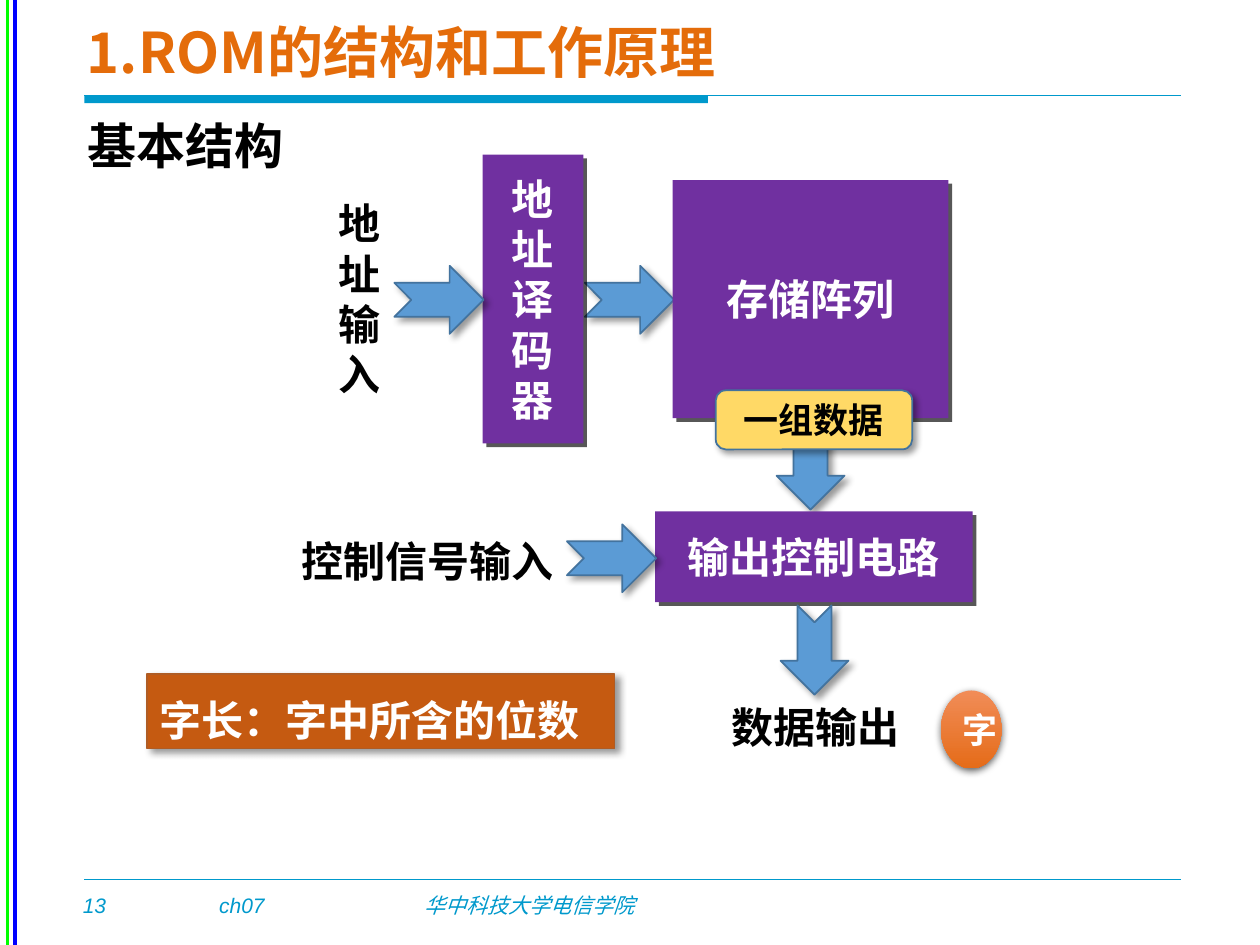
from dataclasses import dataclass

from lxml import etree
from pptx import Presentation
from pptx.dml.color import RGBColor
from pptx.enum.shapes import MSO_CONNECTOR, MSO_SHAPE
from pptx.enum.text import MSO_ANCHOR, PP_ALIGN
from pptx.oxml.ns import qn
from pptx.util import Cm, Pt

RECT = MSO_SHAPE.RECTANGLE
ROUNDED = MSO_SHAPE.ROUNDED_RECTANGLE
OVAL = MSO_SHAPE.OVAL
ARROW = MSO_SHAPE.NOTCHED_RIGHT_ARROW
STRAIGHT = MSO_CONNECTOR.STRAIGHT
TOP, MIDDLE = MSO_ANCHOR.TOP, MSO_ANCHOR.MIDDLE
LEFT, CENTER = PP_ALIGN.LEFT, PP_ALIGN.CENTER


@dataclass(frozen=True)
class Theme:
    cjk: str = "Noto Sans CJK SC"
    latin: str = "Arial"
    title: int = 32
    heading: int = 28
    label: int = 24
    badge: int = 20
    footer: int = 12
    black: str = "000000"
    white: str = "FFFFFF"
    orange: str = "E46C0A"
    teal: str = "0099CC"
    green: str = "00FF00"
    blue: str = "0000FF"
    purple: str = "7030A0"
    arrow: str = "5B9BD5"
    outline: str = "43739E"
    yellow: str = "FFD966"
    brown: str = "C55A11"
    brown_line: str = "AF5C24"
    word: tuple = ("F18C57", "E56C19")
    soft: tuple = (40, 4, 3, 45)
    hard: tuple = (65, 0, 3, 45)
    drop: tuple = (63, 4.5, 1.5, 90)


T = Theme()


def rgb(value):
    return RGBColor.from_string(value)


def add_shadow(sp, alpha, blur, dist, angle):
    sp.shadow.inherit = False
    effects = sp._element.spPr.find(qn("a:effectLst"))
    outer = etree.SubElement(
        effects, qn("a:outerShdw"), blurRad=str(Pt(blur)), dist=str(Pt(dist)),
        dir=str(angle * 60000), algn="tl", rotWithShape="0")
    color = etree.SubElement(outer, qn("a:srgbClr"), val=T.black)
    etree.SubElement(color, qn("a:alpha"), val=str(alpha * 1000))


def write(sp, lines, size, color, align=CENTER, anchor=MIDDLE, spacing=None,
          font=T.cjk, bold=True, italic=False, wrap=True):
    tf = sp.text_frame
    tf.word_wrap = wrap
    tf.vertical_anchor = anchor
    for i, line in enumerate(lines):
        p = tf.add_paragraph() if i else tf.paragraphs[0]
        p.alignment = align
        if spacing:
            p.line_spacing = Pt(round(size * spacing, 1))
        r = p.add_run()
        r.text = line
        r.font.size = Pt(size)
        r.font.name = font
        r.font.bold = bold
        r.font.italic = italic
        r.font.color.rgb = rgb(color)
        etree.SubElement(r._r.rPr, qn("a:ea"), typeface=T.cjk)


def add_text(s, box, text, size, color, **style):
    sp = s.shapes.add_textbox(*map(Cm, box))
    write(sp, [text], size, color, **style)
    return sp


def add_block(s, kind, box, fill, line=None, shadow=None):
    sp = s.shapes.add_shape(kind, *map(Cm, box))
    sp.shadow.inherit = False
    sp.fill.solid()
    sp.fill.fore_color.rgb = rgb(fill)
    if line:
        sp.line.color.rgb = rgb(line)
        sp.line.width = Pt(1)
    else:
        sp.line.fill.background()
    if shadow:
        add_shadow(sp, *shadow)
    return sp


def add_line(s, start, end, color, width):
    line = s.shapes.add_connector(STRAIGHT, *map(Cm, start + end))
    line.line.color.rgb = rgb(color)
    line.line.width = Pt(width)
    etree.SubElement(line._element.spPr, qn("a:effectLst"))


def add_side_stripes(s, x, y, w, h):
    for dx, color in ((w, T.blue), (w / 2, T.green)):
        add_line(s, (x + dx, y), (x + dx, y + h), color, 2)


def add_header(s, x, y, w, h):
    add_block(s, RECT, (x, y + 1.93, 12.57, 0.15), T.teal)
    add_line(s, (x, y + 1.93), (x + w, y + 1.93), T.teal, 0.5)
    add_text(s, (x - 0.2, y + 0.13, 18.31, 1.8), "1.ROM的结构和工作原理",
             T.title, T.orange, align=LEFT)
    add_text(s, (x - 0.18, y + 2.11, w, h - 2.11), "基本结构", T.heading,
             T.black, align=LEFT, anchor=TOP, spacing=1.29)


def add_footer(s, x, y, w, h):
    add_line(s, (x, y), (x + w, y), T.teal, 1)
    for dx, width, text in ((-0.28, 1.04, "13"), (2.47, 2.03, "ch07"),
                            (6.61, 6.73, "华中科技大学电信学院")):
        add_text(s, (x + dx, y + 0.13, width, h - 0.13), text, T.footer,
                 T.teal, align=LEFT, anchor=TOP, font=T.latin, bold=False,
                 italic=True)


def add_rom_diagram(s, x, y):
    def arrow(dx, dy, rotation=0):
        sp = add_block(s, ARROW, (x + dx, y + dy, 1.8, 1.37), T.arrow,
                       T.outline, T.soft)
        sp.rotation = rotation

    def unit(dx, dy, w, h, lines, spacing=None):
        sp = add_block(s, RECT, (x + dx, y + dy, w, h), T.purple,
                       shadow=T.hard)
        write(sp, lines, T.label, T.white, spacing=spacing)

    def label(dx, dy, w, h, text, align=CENTER, spacing=1.29):
        add_text(s, (x + dx, y + dy, w, h), text, T.label, T.black,
                 align=align, anchor=TOP, spacing=spacing)

    arrow(5.99, 2.26)
    unit(7.76, 0.53, 5.56, 4.8, ["存储阵列"])
    unit(3.93, 0.02, 2.03, 5.82, "地址译码器", 1.2)
    label(0.78, 0.76, 1.63, 4.37, "地址输入", LEFT, 1.2)
    arrow(9.64, 5.59, 90)
    unit(7.41, 7.21, 6.4, 1.83, ["输出控制电路"])
    arrow(9.72, 9.32, 90)
    label(7.54, 10.84, 6.2, 1.27, "数据输出")
    arrow(2.15, 2.26)
    arrow(5.63, 7.47)
    label(0.02, 7.49, 5.61, 1.27, "控制信号输入")
    badge = add_block(s, ROUNDED, (x + 8.63, y + 4.77, 3.96, 1.19), T.yellow,
                      T.outline, T.soft)
    write(badge, ["一组数据"], T.badge, T.black)


def add_word_mark(s, x, y, w, h):
    sp = add_block(s, OVAL, (x, y, w, h), T.word[0], shadow=T.drop)
    sp.fill.gradient()
    sp.fill.gradient_angle = 270
    for stop, color in zip(sp.fill.gradient_stops, T.word):
        stop.color.rgb = rgb(color)
    write(sp, ["字"], T.badge, T.white)


def add_word_length_note(s, x, y, w, h):
    sp = add_block(s, RECT, (x, y, w, h), T.brown, T.brown_line, T.soft)
    write(sp, ["字长：字中所含的位数"], T.label, T.white, align=LEFT,
          anchor=TOP, spacing=1.54)


def main():
    prs = Presentation()
    prs.slide_width, prs.slide_height = Cm(25.4), Cm(19.05)
    s = prs.slides.add_slide(prs.slide_layouts[6])
    add_side_stripes(s, 0, 0, 0.3, 19.05)
    add_header(s, 1.7, 0, 22.1, 3.56)
    add_footer(s, 1.7, 17.73, 22.1, 0.89)
    add_rom_diagram(s, 5.8, 3.1)
    add_word_mark(s, 18.97, 13.92, 1.22, 1.57)
    add_word_length_note(s, 2.97, 13.59, 9.42, 1.5)
    prs.save("out.pptx")


if __name__ == "__main__":
    main()
